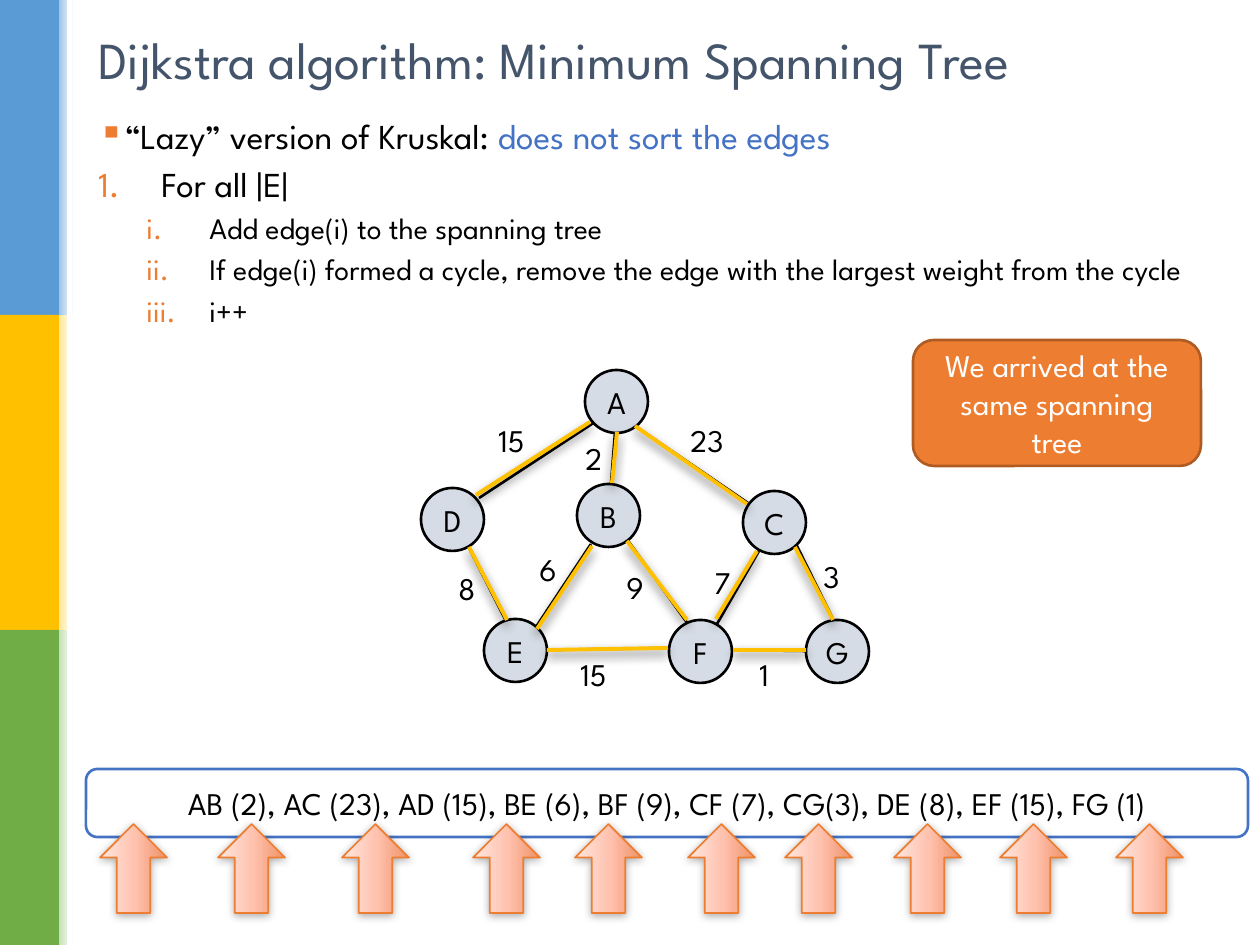
from pptx import Presentation
from pptx.dml.color import RGBColor
from pptx.enum.shapes import MSO_CONNECTOR, MSO_SHAPE
from pptx.enum.text import MSO_ANCHOR, PP_ALIGN
from pptx.oxml import parse_xml
from pptx.oxml.ns import nsdecls
from pptx.util import Pt

RECT, OVAL = MSO_SHAPE.RECTANGLE, MSO_SHAPE.OVAL
ROUND, ARROW = MSO_SHAPE.ROUNDED_RECTANGLE, MSO_SHAPE.RIGHT_ARROW
LINE = MSO_CONNECTOR.STRAIGHT
TOP, MIDDLE = MSO_ANCHOR.TOP, MSO_ANCHOR.MIDDLE
LEFT, CENTER = PP_ALIGN.LEFT, PP_ALIGN.CENTER

BLACK = RGBColor(0x00, 0x00, 0x00)
WHITE = RGBColor(0xFF, 0xFF, 0xFF)
SLATE = RGBColor(0x44, 0x54, 0x6A)
BLUE = RGBColor(0x44, 0x72, 0xC4)
GRAY = RGBColor(0xD6, 0xDC, 0xE5)
ORANGE = RGBColor(0xED, 0x7D, 0x31)
RUST = RGBColor(0xAF, 0x5C, 0x24)
GOLD = RGBColor(0xFF, 0xC0, 0x00)
SKY = RGBColor(0x5B, 0x9B, 0xD5)
GREEN = RGBColor(0x70, 0xAD, 0x47)
PALE_SKY = RGBColor(0x9D, 0xC3, 0xE6)
PALE_GOLD = RGBColor(0xFF, 0xE6, 0x99)
PALE_GREEN = RGBColor(0xC5, 0xE0, 0xB4)
CORAL = RGBColor(0xEF, 0x91, 0x66)
PEACH = RGBColor(0xFF, 0xC2, 0xAF)
BLUSH = RGBColor(0xFF, 0xE6, 0xDF)

FONT = "League Spartan"
STRIPES = [(SKY, PALE_SKY), (GOLD, PALE_GOLD), (GREEN, PALE_GREEN)]
SQUARE = '<a:buChar char="\u25aa"/>'
DIGIT = '<a:buAutoNum type="arabicPeriod"/>'
ROMAN = '<a:buAutoNum type="romanLcPeriod"/>'
STEPS = [
    (SQUARE, 24, 24, 20, [("\u201cLazy\u201d version of Kruskal: ", BLACK),
                          ("does not sort the edges", BLUE)]),
    (DIGIT, 63, 63, 20, [("For all |E|", BLACK)]),
    (ROMAN, 111, 63, 17, [("Add edge(i) to the spanning tree", BLACK)]),
    (ROMAN, 111, 63, 17, [("If edge(i) formed a cycle, remove the edge with "
                           "the largest weight from the cycle", BLACK)]),
    (ROMAN, 111, 63, 17, [("i++", BLACK)]),
]
NODES = {"A": (165, 0), "B": (157, 114), "C": (323, 121), "D": (1, 118),
         "E": (64, 249), "F": (249, 250), "G": (386, 250)}
EDGES = [
    ("15", (66, 45), (175, 52, 59, 128), (170, 52, 56, 125)),
    ("23", (258, 45), (218, 58, 328, 133), (215, 56, 327, 134)),
    ("2", (153, 63), (195, 63, 191, 114), (197, 62, 192, 113)),
    ("8", (26, 193), (47, 174, 85, 249), (49, 177, 87, 250)),
    ("6", (107, 174), (171, 174, 116, 257), (172, 176, 117, 259)),
    ("9", (194, 192), (209, 172, 268, 254), (207, 171, 267, 250)),
    ("7", (282, 187), (339, 181, 297, 254), (337, 181, 296, 249)),
    ("3", (391, 181), (376, 174, 413, 249), (375, 177, 413, 250)),
    ("15", (148, 279), (249, 278, 126, 280), (248, 278, 127, 280)),
    ("1", (327, 279), (386, 281, 311, 280), (386, 280, 313, 280)),
]
QUEUE = ("AB (2), AC (23), AD (15), BE (6), BF (9), CF (7), CG(3), "
         "DE (8), EF (15), FG (1)")
MARKS = [3, 121, 245, 376, 478, 591, 688, 797, 903, 1019]


def px(n):
    return round(n * 914400 / 126)


def scale(box):
    return [px(n) for n in box]


def style(run, size, color):
    run.font.name = FONT
    run.font.size = Pt(size)
    run.font.color.rgb = color


def write(shape, text, size, color, align=LEFT, anchor=TOP, wrap=True):
    frame = shape.text_frame
    frame.text = text
    frame.word_wrap = wrap
    frame.vertical_anchor = anchor
    para = frame.paragraphs[0]
    para.alignment = align
    style(para.runs[0], size, color)


def label(slide, box, text, size, color, **look):
    write(slide.shapes.add_textbox(*scale(box)), text, size, color, **look)


def block(slide, kind, box, fill=None, line=None, width=1.5):
    shape = slide.shapes.add_shape(kind, *scale(box))
    if fill is not None:
        shape.fill.solid()
        shape.fill.fore_color.rgb = fill
    if line is None:
        shape.line.fill.background()
    else:
        shape.line.color.rgb = line
        shape.line.width = Pt(width)
    shape.shadow.inherit = False
    return shape


def blend(shape, stops, angle):
    marks = "".join(f'<a:gs pos="{pos * 1000}"><a:srgbClr val="{color}"/></a:gs>'
                    for pos, color in stops)
    shape.element.spPr.insert(2, parse_xml(
        f'<a:gradFill rotWithShape="1" {nsdecls("a")}><a:gsLst>{marks}</a:gsLst>'
        f'<a:lin ang="{angle * 60000}" scaled="0"/></a:gradFill>'))


def effect(alpha=0, blur=0, dist=0):
    shade = (f'<a:outerShdw blurRad="{Pt(blur)}" dist="{Pt(dist)}" dir="5400000" '
             f'rotWithShape="0"><a:srgbClr val="000000">'
             f'<a:alpha val="{alpha * 1000}"/></a:srgbClr></a:outerShdw>')
    return parse_xml(f'<a:effectLst {nsdecls("a")}>{shade if alpha else ""}</a:effectLst>')


def link(slide, ends, color, width, shade):
    line = slide.shapes.add_connector(LINE, *scale(ends))
    line.line.color.rgb = color
    line.line.width = Pt(width)
    line.element.spPr.append(effect(*shade))


def sidebar(slide, x, y, w, h):
    part = h // 3
    for i, (color, pale) in enumerate(STRIPES):
        block(slide, RECT, (x, y + i * part, w, part), color)
        fade = block(slide, RECT, (x + w, y + i * part, 15, part))
        blend(fade, [(0, pale), (100, WHITE)], 0)
    block(slide, RECT, (x + w + 8, y, 5, h), WHITE)


def outline(slide, x, y, w, h):
    frame = slide.shapes.add_textbox(*scale((x, y, w, h))).text_frame
    frame.word_wrap = True
    for i, (bullet, margin, hang, size, parts) in enumerate(STEPS):
        para = frame.add_paragraph() if i else frame.paragraphs[0]
        para.line_spacing = 0.9
        for text, color in parts:
            run = para.add_run()
            run.text = text
            style(run, size, color)
        props = para._p.get_or_add_pPr()
        props.set("marL", str(px(margin)))
        props.set("indent", str(-px(hang)))
        for tag in ('<a:spcBef {}><a:spcPct val="30000"/></a:spcBef>',
                    '<a:buClr {}><a:srgbClr val="' + str(ORANGE) + '"/></a:buClr>',
                    bullet.replace(" ", " {} ", 1)):
            props.append(parse_xml(tag.format(nsdecls("a"))))


def graph(slide, x, y):
    def shift(ends):
        return [n + (x, y)[i % 2] for i, n in enumerate(ends)]

    for _, _, base, _ in EDGES:
        link(slide, shift(base), BLACK, 1.5, ())
    for name, spot in NODES.items():
        node = block(slide, OVAL, (*shift(spot), 63, 63), GRAY, BLACK)
        write(node, name, 18, BLACK, CENTER, MIDDLE, False)
    for cost, spot, _, tree in EDGES:
        label(slide, (*shift(spot), 26 + 17 * len(cost), 50), cost, 18, BLACK, wrap=False)
        link(slide, shift(tree), GOLD, 2.25, (60, 6, 3))


def queue(slide, x, y, w, h):
    bar = block(slide, ROUND, (x, y, w, h), WHITE, BLUE)
    write(bar, QUEUE, 18, BLACK, CENTER, MIDDLE)
    for mark in MARKS:
        arrow = block(slide, ARROW, (x + mark, y + h - 2, 89, 67), None, ORANGE, 1)
        arrow.rotation = 270
        blend(arrow, [(0, CORAL), (48, PEACH), (100, BLUSH)], 270)
        props = arrow.element.spPr
        props.replace(props[-1], effect(32, 5, 1))


def note(slide, *box):
    card = block(slide, ROUND, box, ORANGE, RUST)
    write(card, "We arrived at the same spanning tree", 18, WHITE, CENTER, MIDDLE)


deck = Presentation()
deck.slide_width, deck.slide_height = px(1260), px(945)
page = deck.slides.add_slide(deck.slide_layouts[6])
sidebar(page, 0, 0, 59, 945)
label(page, (86, 16, 1115, 86), "Dijkstra algorithm: Minimum Spanning Tree",
      29.7, SLATE, anchor=MIDDLE)
outline(page, 86, 113, 1124, 809)
graph(page, 420, 370)
queue(page, 86, 769, 1162, 68)
note(page, 913, 340, 288, 126)
deck.save("out.pptx")
